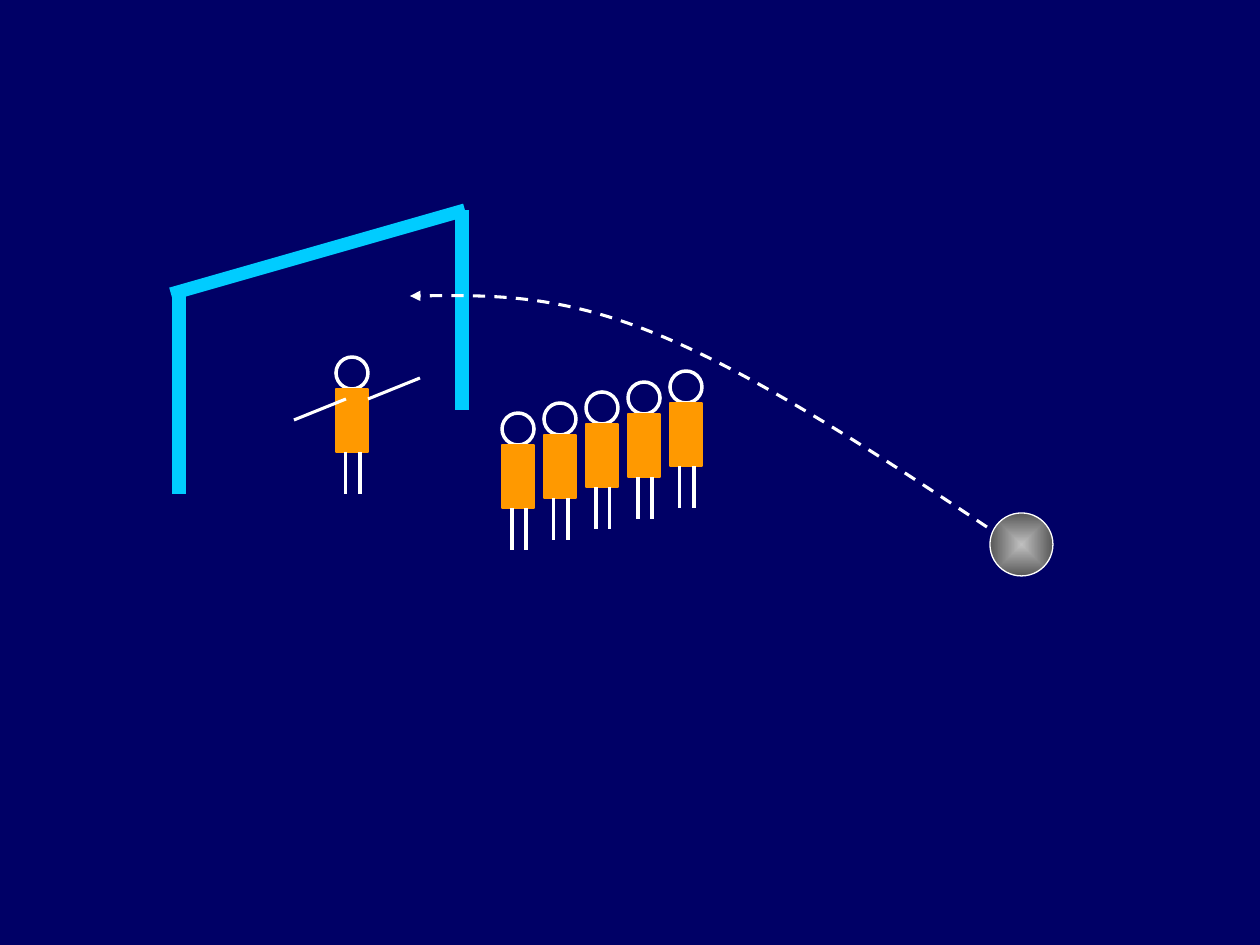
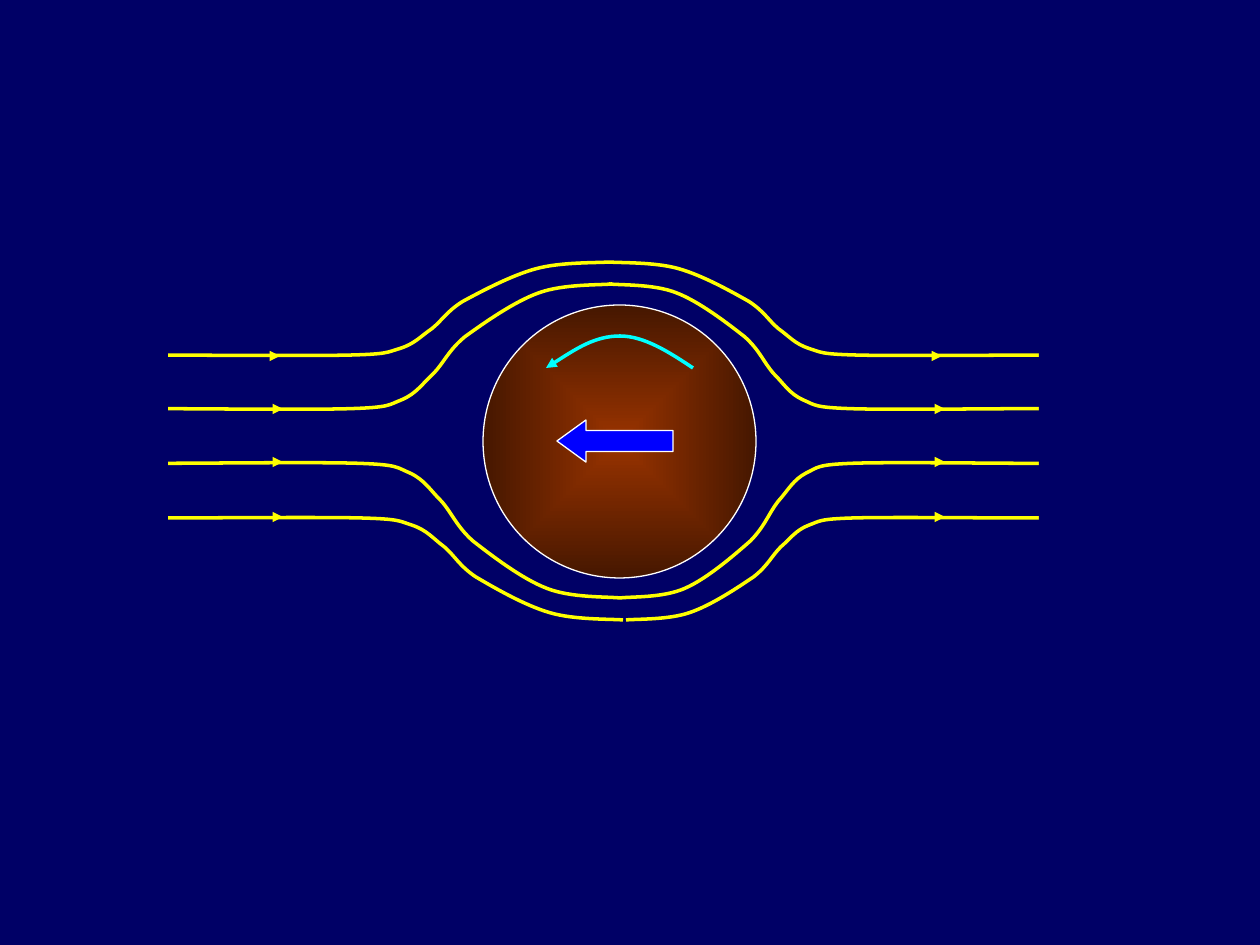
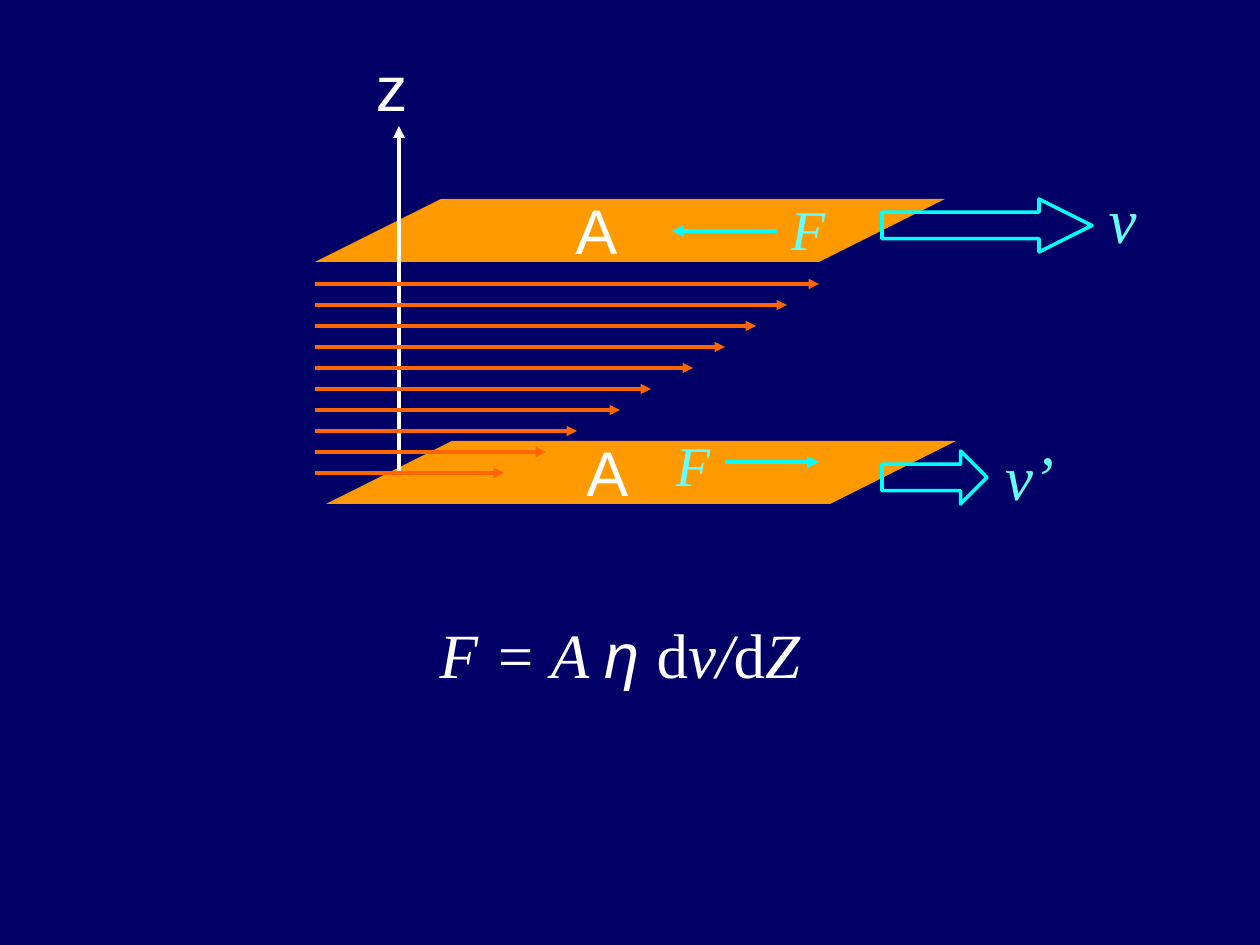
import pptx
import pptx.dml.color
import pptx.enum.dml
import pptx.enum.shapes
import pptx.enum.text
import pptx.oxml
import pptx.oxml.ns
import pptx.util

EMU_PER_PX = 914400 / 126
SHAPES = pptx.enum.shapes.MSO_SHAPE

NAVY, WHITE, ORANGE = "000066", "FFFFFF", "FF9900"
SKY, YELLOW, CYAN = "00CCFF", "FFFF00", "00FFFF"
FLAME, AQUA, BLUE = "FF6600", "66FFFF", "0000FF"
SERIF, SANS = "Times New Roman", "Arial"

STREAMLINE = [
    (28, 10), (14, 10), (0, 10), (73, 10), (145, 10), (378, 0), (460, 10),
    (544, 20), (540, 40), (567, 80), (598, 130), (610, 210), (633, 290),
    (655, 380), (663, 470), (697, 580), (733, 680), (798, 860), (850, 930),
    (900, 1000), (974, 990), (1000, 1000),
]


def px(length):
    """Turn a length in px into EMU."""
    return pptx.util.Emu(round(length * EMU_PER_PX))


def rgb(color):
    """Turn a hex string into a colour."""
    return pptx.dml.color.RGBColor.from_string(color)


def add_xml(parent, tag, content="", **attributes):
    """Append one drawing element to a parent."""
    listed = "".join(f' {name}="{value}"' for name, value in attributes.items())
    namespace = pptx.oxml.ns.nsdecls("a")
    parent.append(pptx.oxml.parse_xml(f"<a:{tag} {namespace}{listed}>{content}</a:{tag}>"))


def style_line(line, color, width, dashed=False, arrow=False):
    """Set the stroke of a shape or connector."""
    line.color.rgb = rgb(color)
    line.width = pptx.util.Pt(width)
    if dashed:
        line.dash_style = pptx.enum.dml.MSO_LINE.DASH
    if arrow:
        add_xml(line._get_or_add_ln(), "tailEnd", type="triangle")


def add_line(slide, start, end, color, width, arrow=False):
    """Draw a straight line between two points."""
    connector = slide.shapes.add_connector(
        pptx.enum.shapes.MSO_CONNECTOR.STRAIGHT, *map(px, start + end))
    style_line(connector.line, color, width, arrow=arrow)
    add_xml(connector._element.spPr, "effectLst")
    return connector


def add_shape(slide, kind, box, fill=None, line=None, width=0.75):
    """Draw a preset shape with an optional fill and outline."""
    shape = slide.shapes.add_shape(kind, *map(px, box))
    shape.shadow.inherit = False
    if fill:
        shape.fill.solid()
        shape.fill.fore_color.rgb = rgb(fill)
    else:
        shape.fill.background()
    if line:
        style_line(shape.line, line, width)
    else:
        shape.line.fill.background()
    return shape


def add_ball(slide, box, center_color, edge_color):
    """Draw a ball shaded from its centre to its edge."""
    ball = add_shape(slide, SHAPES.OVAL, box, line=WHITE)
    ball.fill.gradient()
    for stop, color in zip(ball.fill.gradient_stops, (center_color, edge_color)):
        stop.color.rgb = rgb(color)
    gradient = ball._element.spPr.find(pptx.oxml.ns.qn("a:gradFill"))
    gradient.remove(gradient.find(pptx.oxml.ns.qn("a:lin")))
    center = '<a:fillToRect l="50000" t="50000" r="50000" b="50000"/>'
    add_xml(gradient, "path", center, path="rect")


def add_curve(slide, points, color, width, dashed=False, arrow=False):
    """Draw an open curve from a start point and triples of Bezier points."""
    builder = slide.shapes.build_freeform(*map(px, points[0]))
    builder.add_line_segments([tuple(map(px, point)) for point in points[1:]], close=False)
    curve = builder.convert_to_shape()
    curve.shadow.inherit = False
    curve.fill.background()
    style_line(curve.line, color, width, dashed, arrow)
    segments = list(curve._element.iter(pptx.oxml.ns.qn("a:lnTo")))
    outline = segments[0].getparent()
    for first in range(0, len(segments), 3):
        add_xml(outline, "cubicBezTo")
        for segment in segments[first:first + 3]:
            outline[-1].append(segment[0])
            outline.remove(segment)


def add_text(slide, box, *runs, size=36, color=WHITE, font=SERIF, italic=False, wrap=True):
    """Write centred text; each run is text and its own format changes."""
    frame = slide.shapes.add_textbox(*map(px, box)).text_frame
    frame.word_wrap = wrap
    paragraph = frame.paragraphs[0]
    paragraph.alignment = pptx.enum.text.PP_ALIGN.CENTER
    for text, changes in runs:
        run = paragraph.add_run()
        run.text = text
        run.font.size = pptx.util.Pt(size)
        run.font.color.rgb = rgb(color)
        run.font.name = changes.get("font", font)
        run.font.italic = changes.get("italic", italic)


def draw_goal(slide, left, top):
    """Draw the two posts and the crossbar of the goal."""
    for post_left, post_top in ((8, 84), (291, 0)):
        x, y = left + post_left, top + post_top
        add_line(slide, (x, y), (x, y + 200), SKY, 7.5)
    add_line(slide, (left + 294, top), (left, top + 84), SKY, 7.5)


def draw_player(slide, left, top):
    """Draw one player with head, body and legs."""
    add_shape(slide, SHAPES.OVAL, (left, top, 32, 32), line=WHITE, width=2)
    add_shape(slide, SHAPES.RECTANGLE, (left, top + 32, 32, 63), ORANGE, ORANGE)
    for leg in (left + 10, left + 24):
        add_line(slide, (leg, top + 95), (leg, top + 137), WHITE, 1.75)


def draw_keeper(slide, left, top):
    """Draw the goalkeeper, a player with stretched arms."""
    draw_player(slide, left, top)
    for x, y in ((32, 42), (-42, 63)):
        add_line(slide, (left + x, top + y), (left + x + 52, top + y - 21), WHITE, 1.75)


def draw_free_kick(slide):
    """Draw the free kick over the wall into the goal."""
    draw_goal(slide, 171, 210)
    add_ball(slide, (990, 513, 63, 63), "C0C0C0", "585858")
    for place in reversed(range(5)):
        draw_player(slide, 502 + 42 * place, 413 - 21 * place // 2)
    draw_keeper(slide, 336, 357)
    flight = [(987, 527), (870, 449), (751, 372), (654, 333), (558, 294), (484, 295), (410, 296)]
    add_curve(slide, flight, WHITE, 1.75, dashed=True, arrow=True)


def draw_streamline(slide, box, from_right, below):
    """Draw half a streamline that climbs from its outer end to the middle."""
    left, top, width, height = box
    points = []
    for along, rise in STREAMLINE:
        across = 1000 - along if from_right else along
        down = rise if below else 1000 - rise
        points.append((left + width * across / 1000, top + height * down / 1000))
    add_curve(slide, points, YELLOW, 2)


def draw_spinning_ball(slide, left, top):
    """Draw the ball with its spin and its direction of motion."""
    add_ball(slide, (left, top, 273, 273), "993300", "461700")
    arrow = add_shape(slide, SHAPES.LEFT_ARROW, (left + 74, top + 115, 116, 42), BLUE, WHITE)
    arrow.adjustments[1] = 0.69
    spin = [(210, 63), (186, 47), (161, 31), (137, 31), (112, 31), (88, 47), (63, 63)]
    add_curve(slide, [(left + x, top + y) for x, y in spin], CYAN, 2, arrow=True)


def draw_air_flow(slide):
    """Draw the air streaming around a spinning ball."""
    draw_spinning_ball(slide, 483, 305)
    halves = [
        ((126, 284, 486, 126), False, False), ((134, 462, 486, 136), False, True),
        ((620, 462, 431, 136), True, True), ((609, 284, 448, 126), True, False),
        ((126, 262, 483, 94), False, False), ((609, 262, 462, 94), True, False),
        ((136, 517, 487, 103), False, True), ((626, 517, 422, 103), True, True),
    ]
    for box, from_right, below in halves:
        draw_streamline(slide, box, from_right, below)
    for box in ((42, 284, 126, 273), (1039, 294, 126, 273)):
        add_shape(slide, SHAPES.RECTANGLE, box, NAVY)
    for column in (262, 924):
        for shift, y in ((-3, 356), (0, 409), (0, 462), (0, 517)):
            x = column + shift
            add_line(slide, (x, y), (x + 21, y), YELLOW, 0.75, arrow=True)


def draw_plate(slide, left, top):
    """Draw a sheared plate with its area label."""
    add_shape(slide, SHAPES.FLOWCHART_DATA, (left, top, 630, 63), ORANGE)
    add_text(slide, (left + 248, top - 14, 67, 88), ("A", {}), font=SANS, wrap=False)


def draw_shear_profile(slide, left, top):
    """Draw the layers of fluid, slower towards the lower plate."""
    lengths = (504, 472, 441, 410, 378, 336, 305, 262, 231, 189)
    for layer, length in enumerate(lengths):
        y = top + 21 * layer
        add_line(slide, (left, y), (left + length, y), FLAME, 1.75, arrow=True)


def draw_force(slide, left, top, start, end):
    """Draw a force label and its arrow beside it."""
    add_text(slide, (left, top, 84, 81), ("F", {}), size=32, color=AQUA, italic=True)
    add_line(slide, (left + start[0], top + start[1]), (left + end[0], top + end[1]),
             CYAN, 2.25, arrow=True)


def draw_velocity(slide, box, tip, label, label_box):
    """Draw an outlined velocity arrow with a label placed from its corner."""
    arrow = add_shape(slide, SHAPES.RIGHT_ARROW, box, line=CYAN, width=2)
    arrow.adjustments[1] = tip
    x, y, width, height = label_box
    add_text(slide, (box[0] + x, box[1] + y, width, height), (label, {}),
             color=AQUA, italic=True)


def draw_viscosity(slide):
    """Draw shear flow between two plates and the friction formula."""
    for left, top in ((315, 199), (326, 441)):
        draw_plate(slide, left, top)
    add_line(slide, (399, 472), (399, 126), WHITE, 2.25, arrow=True)
    add_text(slide, (363, 42, 57, 88), ("z", {}), font=SANS, wrap=False)
    draw_shear_profile(slide, 315, 284)
    upright = {"italic": False}
    add_text(slide, (305, 609, 630, 88), ("F = A ", {}), ("η ", {"font": SANS}),
             ("d", upright), ("v/", {}), ("d", upright), ("Z", {}), italic=True)
    draw_force(slide, 766, 188, (11, 43), (-94, 43))
    draw_force(slide, 651, 424, (74, 38), (168, 38))
    draw_velocity(slide, (882, 199, 210, 53), 1, "v", (205, -25, 71, 88))
    draw_velocity(slide, (882, 451, 105, 53), 0.5, "v’", (95, -20, 105, 88))


def main():
    """Build the presentation and save it."""
    presentation = pptx.Presentation()
    presentation.slide_width, presentation.slide_height = px(1260), px(945)
    background = presentation.slide_master.background.fill
    background.solid()
    background.fore_color.rgb = rgb(NAVY)
    for draw in (draw_free_kick, draw_air_flow, draw_viscosity):
        draw(presentation.slides.add_slide(presentation.slide_layouts[6]))
    presentation.save("out.pptx")


if __name__ == "__main__":
    main()
